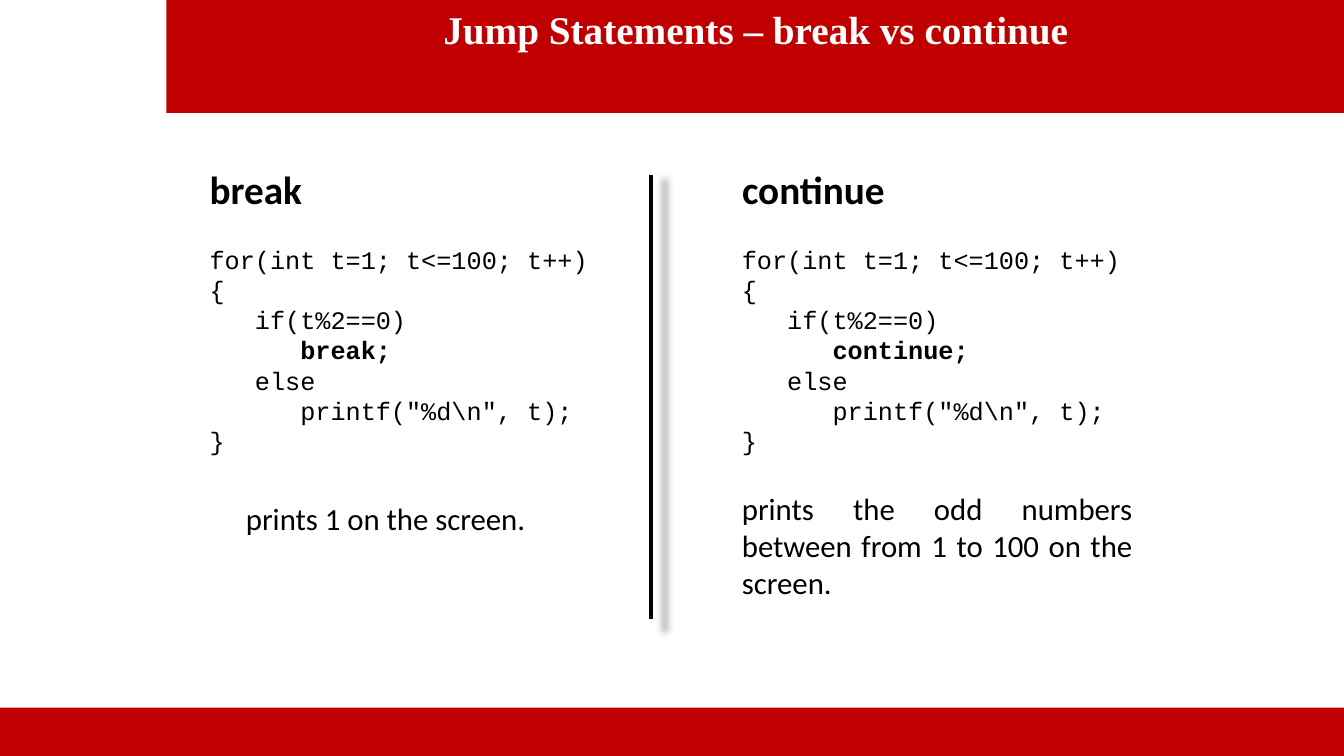
from lxml import etree
from pptx import Presentation
from pptx.dml.color import RGBColor
from pptx.enum.shapes import MSO_CONNECTOR as CONNECTOR, MSO_SHAPE as SHAPE
from pptx.enum.text import MSO_ANCHOR as ANCHOR, MSO_AUTO_SIZE as FIT, PP_ALIGN as ALIGN
from pptx.oxml.ns import qn
from pptx.util import Emu, Pt

PX = 9144
WIDTH, HEIGHT = 1333, 750
RED = RGBColor(0xC0, 0x00, 0x00)
WHITE = RGBColor(0xFF, 0xFF, 0xFF)
BLACK = RGBColor(0x00, 0x00, 0x00)
BREAK_LEFT, CONTINUE_LEFT, COLUMN_WIDTH = 198, 726, 407
HEADING_TOP, HEADING_HEIGHT = 164, 60
CODE_TOP, CODE_HEIGHT = 237, 222


def px(*lengths):
    """Turn pixel lengths into EMU."""
    return [Emu(length * PX) for length in lengths]


def place(shape, *bounds):
    """Move a shape to left, top, width and height."""
    shape.left, shape.top, shape.width, shape.height = px(*bounds)


def style(para, face, size, color=BLACK, bold=False, align=ALIGN.LEFT):
    """Format a paragraph and all of its runs."""
    para.alignment = align
    for span in para.runs:
        font = span.font
        font.name, font.size, font.bold = face, Pt(size), bold
        font.color.rgb = color


def add_title(page, text):
    """Fill the title placeholder as the top band."""
    title = page.shapes.title
    place(title, 165, 0, 1169, 112)
    title.fill.solid()
    title.fill.fore_color.rgb = RED
    frame = title.text_frame
    frame.text = text
    frame.vertical_anchor = ANCHOR.TOP
    frame.auto_size = FIT.NONE
    style(frame.paragraphs[0], "Times New Roman", 28, WHITE, True, ALIGN.CENTER)


def add_heading(body, text, left):
    """Set a column heading in its body placeholder, without a bullet."""
    place(body, left, HEADING_TOP, COLUMN_WIDTH, HEADING_HEIGHT)
    frame = body.text_frame
    frame.auto_size = FIT.NONE
    para = frame.paragraphs[0]
    para.text = text
    props = para._p.get_or_add_pPr()
    props.set("marL", "0")
    props.set("indent", "0")
    etree.SubElement(props, qn("a:buNone"))
    para.line_spacing = 0.9
    para.space_before = Pt(0)
    style(para, "Calibri", 28, bold=True)


def add_text(page, text, *bounds):
    """Add a wrapping text box and return its frame."""
    frame = page.shapes.add_textbox(*px(*bounds)).text_frame
    frame.word_wrap = True
    frame.auto_size = FIT.SHAPE_TO_FIT_TEXT
    frame.text = text
    return frame


def add_code(page, keyword, left):
    """Add the loop listing with its jump statement in bold."""
    jump = f"      {keyword};"
    lines = ["for(int t=1; t<=100; t++) {", "   if(t%2==0)", jump,
             "   else", '      printf("%d\\n", t);', "}"]
    frame = add_text(page, "\n".join(lines), left, CODE_TOP, COLUMN_WIDTH, CODE_HEIGHT)
    for para in frame.paragraphs:
        style(para, "Courier New", 18, bold=para.text == jump)


def add_note(page, text, *bounds):
    """Add the justified remark on what a loop prints."""
    frame = add_text(page, text, *bounds)
    style(frame.paragraphs[0], "Calibri", 22, align=ALIGN.JUSTIFY)


def add_footer_band(page):
    """Draw the plain band along the bottom edge."""
    band = page.shapes.add_shape(SHAPE.RECTANGLE, *px(0, 702, WIDTH, 48))
    band.shadow.inherit = False
    band.fill.solid()
    band.fill.fore_color.rgb = RED
    band.line.fill.background()


def add_divider(page, x, top, bottom):
    """Draw the line between the columns with its soft shadow."""
    divider = page.shapes.add_connector(CONNECTOR.STRAIGHT, *px(x, top, x, bottom))
    divider.line.color.rgb = BLACK
    divider.line.width = Pt(3)
    effects = etree.SubElement(divider._element.spPr, qn("a:effectLst"))
    shadow = etree.SubElement(effects, qn("a:outerShdw"), blurRad=str(Pt(5)),
                              sx="102000", sy="102000", algn="ctr", rotWithShape="0")
    color = etree.SubElement(shadow, qn("a:srgbClr"), val=str(BLACK))
    etree.SubElement(color, qn("a:alpha"), val="40000")


def main():
    """Build the slide and save the deck."""
    deck = Presentation()
    deck.slide_width, deck.slide_height = px(WIDTH, HEIGHT)
    page = deck.slides.add_slide(deck.slide_layouts.get_by_name("Two Content"))
    add_title(page, "Jump Statements – break vs continue")
    add_footer_band(page)
    columns = [("break", BREAK_LEFT), ("continue", CONTINUE_LEFT)]
    for index, (keyword, left) in enumerate(columns, start=1):
        add_heading(page.placeholders[index], keyword, left)
        add_code(page, keyword, left)
    add_note(page, "prints 1 on the screen.", 234, 491, 371, 47)
    add_note(page, "prints the odd numbers between from 1 to 100 on the screen.",
             CONTINUE_LEFT, 481, COLUMN_WIDTH, 121)
    add_divider(page, 646, 174, 614)
    deck.save("out.pptx")


if __name__ == "__main__":
    main()
